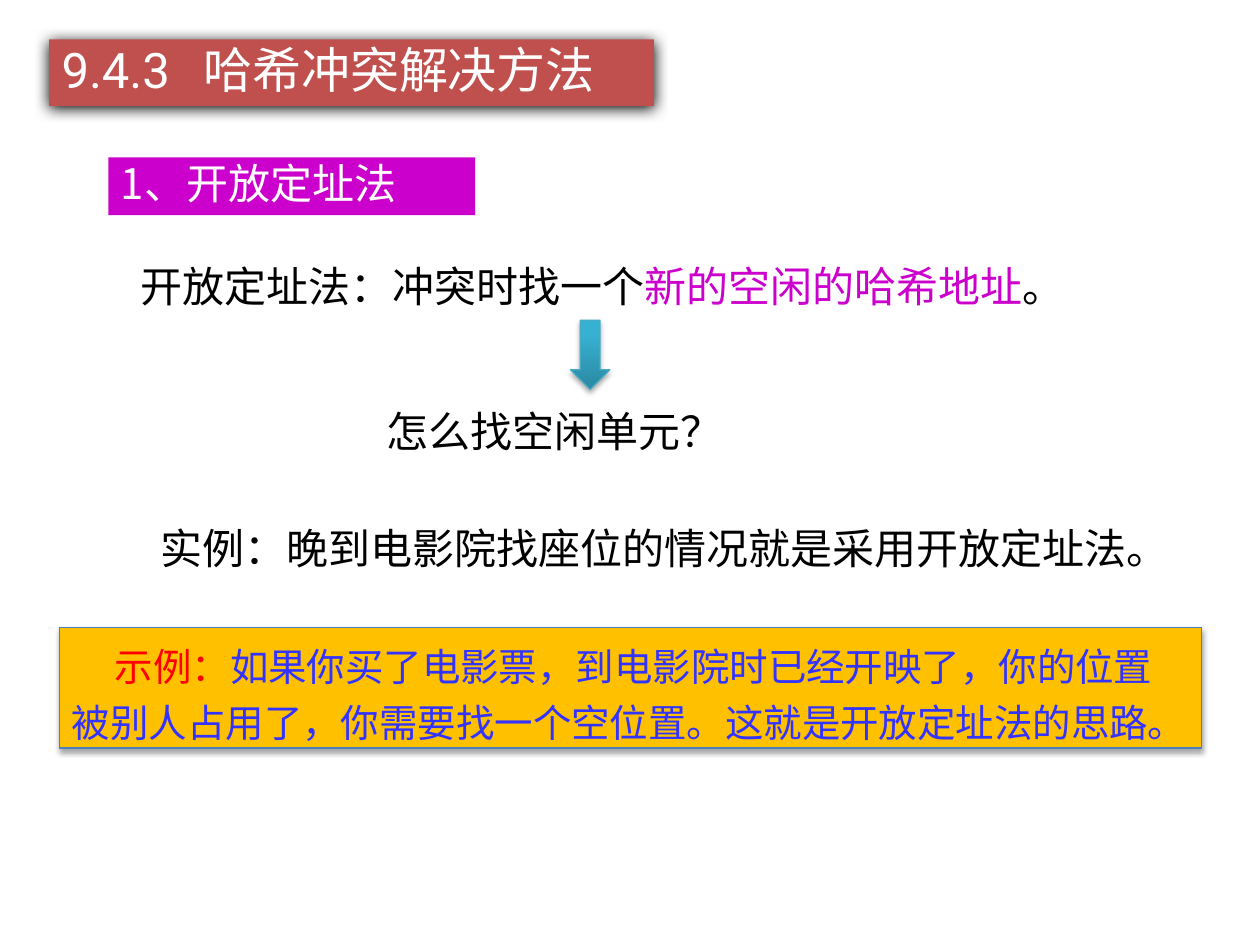
from lxml.etree import SubElement as Sub
from pptx import Presentation
from pptx.dml.color import RGBColor
from pptx.enum.shapes import MSO_SHAPE as Kind
from pptx.enum.text import MSO_ANCHOR as Anchor, PP_ALIGN as Align
from pptx.oxml.ns import qn
from pptx.util import Pt

WHITE = RGBColor(0xFF, 0xFF, 0xFF)
BLACK = RGBColor(0, 0, 0)
RED = RGBColor(0xFF, 0, 0)
BLUE = RGBColor(0x33, 0x33, 0xFF)
PINK = RGBColor(0xCC, 0, 0xCC)
BRICK = RGBColor(0xC0, 0x50, 0x4D)
GOLD = RGBColor(0xFF, 0xC0, 0)
EDGE = RGBColor(0x4B, 0x7E, 0xBC)
TEAL = RGBColor(0x2A, 0x88, 0xA2)
SKY = RGBColor(0x37, 0xB1, 0xD2)
RIM = RGBColor(0x46, 0xAA, 0xC5)

LATIN = "Roboto"
HAN = "Noto Sans CJK SC"


def apply(item, form):
    for key, value in form.items():
        setattr(item, key, value)


def place(shape, box):
    apply(shape, dict(zip(("left", "top", "width", "height"), map(Pt, box))))


def shade(shape, blur, dist, alpha):
    shape.shadow.inherit = False
    glow = shape._element.spPr.find(qn("a:effectLst"))
    cast = Sub(glow, qn("a:outerShdw"), blurRad=str(Pt(blur)), dist=str(Pt(dist)),
               dir="5400000", algn="ctr", rotWithShape="0")
    tint = Sub(cast, qn("a:srgbClr"), val="000000")
    Sub(tint, qn("a:alpha"), val=str(alpha * 1000))


def paint(shape, fill, line=None):
    shape.shadow.inherit = False
    shape.fill.solid()
    shape.fill.fore_color.rgb = fill
    if line is None:
        shape.line.fill.background()
    else:
        shape.line.color.rgb = line
        shape.line.width = Pt(0.75)


def write(shape, parts, size, face, form=None, indent=0, tab=0):
    frame = shape.text_frame
    apply(frame, {"word_wrap": True, "vertical_anchor": Anchor.TOP})
    para = frame.paragraphs[0]
    apply(para, {"alignment": Align.LEFT, "space_before": Pt(0), **(form or {})})
    props = para._p.get_or_add_pPr()
    if indent:
        props.set("indent", str(Pt(indent)))
    if tab:
        Sub(Sub(props, qn("a:tabLst")), qn("a:tab"), pos=str(Pt(tab)), algn="l")
    for text, color in parts:
        run = para.add_run()
        run.text = text
        apply(run.font, {"size": Pt(size), "name": face, "bold": False})
        run.font.color.rgb = color


def add_text(slide, box, parts, face, form=None):
    label = slide.shapes.add_textbox(*map(Pt, box))
    write(label, parts, 24, face, form)


def add_rect(slide, box, fill, line=None):
    rect = slide.shapes.add_shape(Kind.RECTANGLE, *map(Pt, box))
    paint(rect, fill, line)
    return rect


def add_arrow(slide, box):
    arrow = slide.shapes.add_shape(Kind.DOWN_ARROW, *map(Pt, box))
    paint(arrow, TEAL, RIM)
    arrow.fill.gradient()
    arrow.fill.gradient_angle = 90
    for stop, (color, spot) in zip(arrow.fill.gradient_stops, ((TEAL, 0), (SKY, 0.8))):
        stop.color.rgb = color
        stop.position = spot
    shade(arrow, 3.1, 1.8, 35)


def add_title(slide):
    title = slide.shapes.title
    place(title, (28, 22.5, 345.6, 38))
    paint(title, BRICK)
    shade(title, 8.5, 1, 100)
    write(title, [("9.4.3\t哈希冲突解决方法", WHITE)], 28, LATIN,
          {"line_spacing": 0.9}, tab=81)


def main():
    deck = Presentation()
    apply(deck, {"slide_width": Pt(720), "slide_height": Pt(540)})
    slide = deck.slides.add_slide(deck.slide_layouts[5])

    add_title(slide)
    add_text(slide, (73.5, 131, 582, 51),
             [("开放定址法：冲突时找一个", BLACK), ("新的空闲的哈希地址", PINK), ("。", BLACK)],
             LATIN, {"line_spacing": 1.5, "alignment": Align.JUSTIFY})
    head = add_rect(slide, (62, 90, 209.5, 33), PINK)
    write(head, [("1、开放定址法", WHITE)], 24, HAN, {"line_spacing": 0.9})
    add_text(slide, (214, 228, 242, 36), [("怎么找空闲单元？", BLACK)], LATIN)
    add_arrow(slide, (326, 183, 22.5, 39.5))
    add_text(slide, (84.5, 295, 595, 36),
             [("实例：晚到电影院找座位的情况就是采用开放定址法。", BLACK)], HAN)
    note = add_rect(slide, (34, 358.5, 652.5, 69), GOLD, EDGE)
    shade(note, 3.1, 1.8, 35)
    write(note, [("示例：", RED),
                 ("如果你买了电影票，到电影院时已经开映了，你的位置被别人占用了，"
                  "你需要找一个空位置。这就是开放定址法的思路。", BLUE)],
          22, HAN, {"line_spacing": Pt(32)}, indent=24.5)

    deck.save("out.pptx")


if __name__ == "__main__":
    main()
